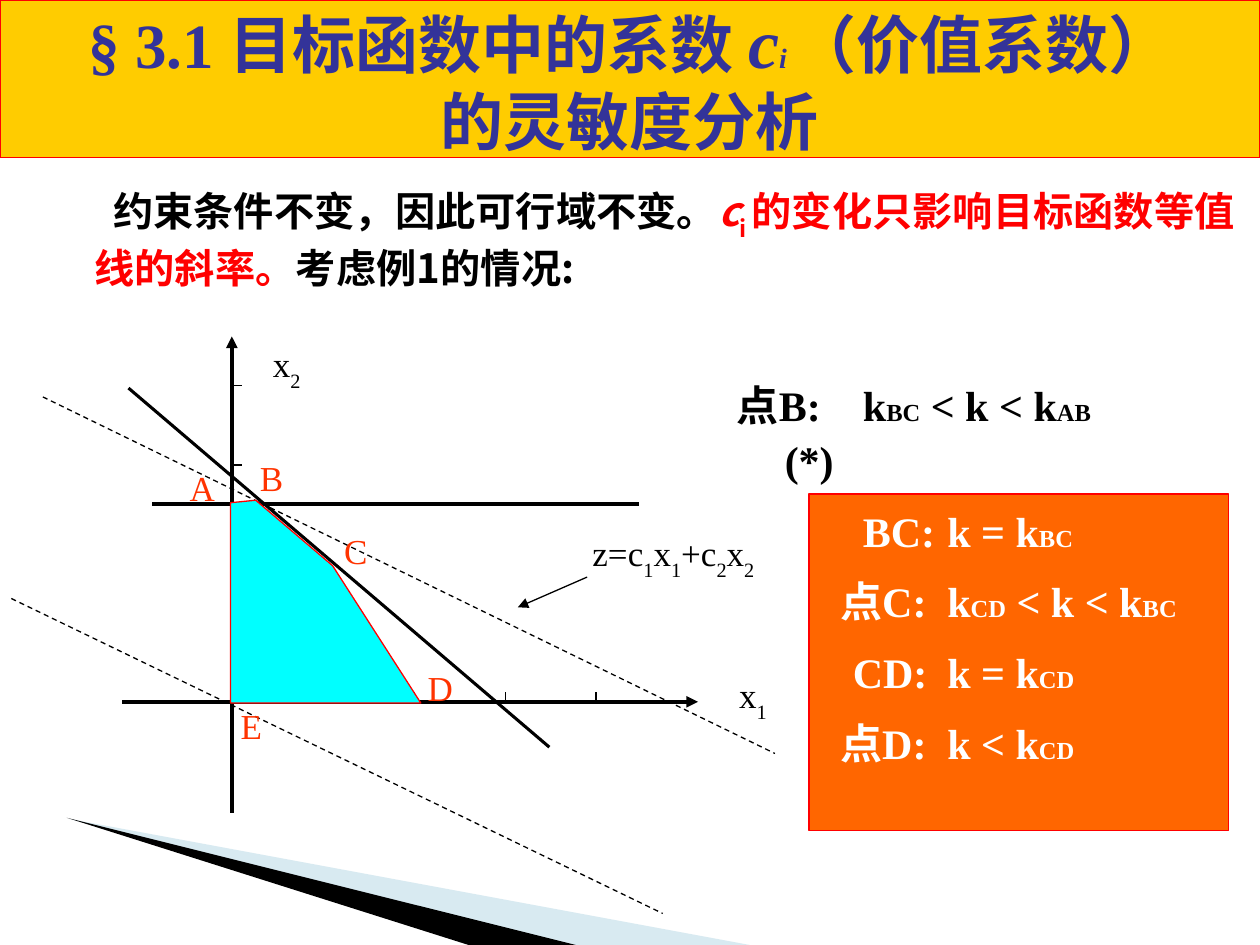
"""Build a slide on the sensitivity analysis of objective coefficients."""
from dataclasses import dataclass

from lxml import etree
from pptx import Presentation
from pptx.dml.color import RGBColor
from pptx.enum.dml import MSO_LINE
from pptx.enum.shapes import MSO_CONNECTOR, MSO_SHAPE
from pptx.enum.text import MSO_ANCHOR, PP_ALIGN
from pptx.oxml.ns import qn
from pptx.util import Inches, Pt

RECTANGLE = MSO_SHAPE.RECTANGLE
STRAIGHT = MSO_CONNECTOR.STRAIGHT
DASH = MSO_LINE.DASH
TOP, MIDDLE = MSO_ANCHOR.TOP, MSO_ANCHOR.MIDDLE
LEFT, CENTER = PP_ALIGN.LEFT, PP_ALIGN.CENTER
Point = tuple[float, float]


@dataclass(frozen=True)
class Theme:
    latin: str = "Times New Roman"
    chinese: str = "Noto Sans CJK SC"
    black: str = "000000"
    white: str = "FFFFFF"
    red: str = "FF0000"
    vertex: str = "FF3300"
    title: str = "333399"
    banner: str = "FFCC00"
    panel: str = "FF6600"
    region: str = "00FFFF"
    wedge: str = "9FCBDC"
    title_size: float = 36
    symbol_size: float = 40
    index_size: float = 16
    body_size: float = 23
    slope_size: float = 24
    slope_index_size: float = 14
    label_size: float = 20


THEME = Theme()


@dataclass(frozen=True)
class Segment:
    start: Point
    end: Point
    width: float = 0.75
    dashed: bool = False
    arrow: bool = False


@dataclass(frozen=True)
class Label:
    terms: tuple[str, ...]
    left: float
    top: float
    width: float = 0.63
    height: float = 0.44
    color: str = THEME.vertex


@dataclass(frozen=True)
class Condition:
    terms: tuple[str, ...]
    indent: float
    tab: float | None = None


ORIGIN: Point = (1.84, 5.57)
TICK = 0.08

AXES_AND_CONSTRAINTS = [
    Segment((1.84, 6.45), (1.84, 2.67), 2.25, arrow=True),
    Segment((0.97, 5.57), (5.54, 5.57), 2.25, arrow=True),
    Segment((1.02, 3.08), (4.36, 5.93), 1.75),
    Segment((1.21, 4), (5.07, 4), 1.75),
    Segment((4.66, 4.58), (4.11, 4.82), arrow=True),
]
TICKS = [
    Segment((ORIGIN[0], 3.06 + 0.63 * i), (ORIGIN[0] + TICK, 3.06 + 0.63 * i))
    for i in range(4)
] + [
    Segment((2.57 + 0.72 * i, ORIGIN[1]), (2.57 + 0.72 * i, ORIGIN[1] - TICK))
    for i in range(4)
]
UPPER_CONTOUR = Segment((0.34, 3.15), (6.15, 5.98), dashed=True)
LOWER_CONTOUR = Segment((0.09, 4.75), (5.26, 7.25), dashed=True)
FEASIBLE_REGION = [(1.83, 3.99), (2.03, 3.97), (2.64, 4.49), (3.34, 5.58), (1.83, 5.58)]
LABELS = [
    Label(("z=c", "1", "x", "1", "+c", "2", "x", "2"), 4.51, 4.17, 1.67, 0.5, THEME.black),
    Label(("x", "2"), 2, 2.67, 0.55, 0.5, THEME.black),
    Label(("x", "1"), 5.7, 5.3, 0.55, 0.5, THEME.black),
    Label(("A",), 1.29, 3.65),
    Label(("B",), 1.84, 3.57),
    Label(("C",), 2.51, 4.15),
    Label(("D",), 3.18, 5.24),
    Label(("E",), 1.68, 5.54),
]
POINT_B = [
    Condition(("点B:\tk", "BC", " < k < k", "AB"), 0, 1),
    Condition(("(*)",), 0.38),
]
OTHER_CONDITIONS = [
    Condition(("BC:\tk = k", "BC"), 0.33, 1.15),
    Condition(("点C:\tk", "CD", " < k < k", "BC"), 0.15, 1.16),
    Condition(("CD:\tk = k", "CD"), 0.25, 1.09),
    Condition(("点D:\tk < k", "CD"), 0.15, 1.25),
]


def add_text(paragraph, text: str, *, size: float, color: str, bold=False,
             italic=False, baseline=0, font=THEME.latin) -> None:
    run = paragraph.add_run()
    run.text = text
    run.font.name = font
    run.font.size = Pt(size)
    run.font.bold, run.font.italic = bold, italic
    run.font.color.rgb = RGBColor.from_string(color)
    properties = run._r.get_or_add_rPr()
    etree.SubElement(properties, qn("a:ea")).set("typeface", THEME.chinese)
    if baseline:
        properties.set("baseline", str(baseline * 1000))


def prepare_frame(shape, anchor=TOP):
    frame = shape.text_frame
    frame.word_wrap = True
    frame.vertical_anchor = anchor
    return frame


def add_box(slide, left: float, top: float, width: float, height: float):
    return slide.shapes.add_textbox(Inches(left), Inches(top), Inches(width), Inches(height))


def add_panel(slide, left: float, top: float, width: float, height: float,
              fill: str, line_width: float):
    panel = slide.shapes.add_shape(
        RECTANGLE, Inches(left), Inches(top), Inches(width), Inches(height))
    panel.shadow.inherit = False
    panel.fill.solid()
    panel.fill.fore_color.rgb = RGBColor.from_string(fill)
    panel.line.color.rgb = RGBColor.from_string(THEME.red)
    panel.line.width = Pt(line_width)
    return panel


def add_polygon(slide, points: list[Point], fill: str, line: str | None = None,
                opacity: int = 100) -> None:
    corners = [(Inches(x), Inches(y)) for x, y in points]
    builder = slide.shapes.build_freeform(*corners[0])
    builder.add_line_segments(corners[1:], close=True)
    polygon = builder.convert_to_shape()
    polygon.shadow.inherit = False
    polygon.fill.solid()
    polygon.fill.fore_color.rgb = RGBColor.from_string(fill)
    if opacity < 100:
        color = polygon._element.spPr.find(f"{qn('a:solidFill')}/{qn('a:srgbClr')}")
        etree.SubElement(color, qn("a:alpha")).set("val", str(opacity * 1000))
    if line:
        polygon.line.color.rgb = RGBColor.from_string(line)
        polygon.line.width = Pt(0.75)
    else:
        polygon.line.fill.background()


def add_segment(slide, segment: Segment) -> None:
    ends = [Inches(value) for value in (*segment.start, *segment.end)]
    connector = slide.shapes.add_connector(STRAIGHT, *ends)
    connector.line.color.rgb = RGBColor.from_string(THEME.black)
    connector.line.width = Pt(segment.width)
    if segment.dashed:
        connector.line.dash_style = DASH
    properties = connector._element.spPr
    if segment.arrow:
        etree.SubElement(properties.find(qn("a:ln")), qn("a:tailEnd")).set("type", "triangle")
    etree.SubElement(properties, qn("a:effectLst"))


def add_label(slide, label: Label) -> None:
    box = add_box(slide, label.left, label.top, label.width, label.height)
    paragraph = prepare_frame(box).paragraphs[0]
    paragraph.alignment = CENTER
    for index, term in enumerate(label.terms):
        add_text(paragraph, term, size=THEME.label_size, color=label.color,
                 baseline=-30 * (index % 2))


def add_conditions(shape, conditions: list[Condition], color: str, gap: float) -> None:
    frame = prepare_frame(shape)
    for row, condition in enumerate(conditions):
        paragraph = frame.add_paragraph() if row else frame.paragraphs[0]
        properties = paragraph._p.get_or_add_pPr()
        properties.set("marL", "0")
        properties.set("indent", str(Inches(condition.indent)))
        if condition.tab:
            stops = etree.SubElement(properties, qn("a:tabLst"))
            etree.SubElement(stops, qn("a:tab"), pos=str(Inches(condition.tab)), algn="l")
        paragraph.alignment = LEFT
        paragraph.line_spacing = 1.1
        if row:
            paragraph.space_before = Pt(gap)
        for index, term in enumerate(condition.terms):
            size = THEME.slope_index_size if index % 2 else THEME.slope_size
            add_text(paragraph, term, size=size, color=color, bold=True)


def add_title(slide) -> None:
    frame = prepare_frame(add_panel(slide, 0, 0, 10, 1.25, THEME.banner, 1), MIDDLE)
    style = {"color": THEME.title, "bold": True}
    first, second = frame.paragraphs[0], frame.add_paragraph()
    first.alignment = second.alignment = CENTER
    add_text(first, "§ 3.1 目标函数中的系数 ", size=THEME.title_size, **style)
    add_text(first, "c", size=THEME.symbol_size, italic=True, **style)
    add_text(first, "i ", size=THEME.index_size, italic=True, **style)
    add_text(first, "（价值系数）", size=THEME.title_size, **style)
    add_text(second, "的灵敏度分析", size=THEME.title_size, **style)


def add_body(slide) -> None:
    paragraph = prepare_frame(add_box(slide, 0.25, 1.42, 9.75, 1.5)).paragraphs[0]
    properties = paragraph._p.get_or_add_pPr()
    properties.set("marL", str(Inches(0.4)))
    properties.set("indent", str(Inches(0.15)))
    paragraph.line_spacing = 1.03
    style = {"size": THEME.body_size, "bold": True, "font": THEME.chinese}
    add_text(paragraph, "约束条件不变，因此可行域不变。", color=THEME.black, **style)
    add_text(paragraph, "c", color=THEME.red, italic=True, **style)
    add_text(paragraph, "i ", color=THEME.red, baseline=-25, **style)
    add_text(paragraph, "的变化只影响目标函数等值线的斜率。", color=THEME.red, **style)
    add_text(paragraph, "考虑例1的情况:", color=THEME.black, **style)


def main() -> None:
    deck = Presentation()
    deck.slide_width, deck.slide_height = Inches(10), Inches(7.5)
    slide = deck.slides.add_slide(deck.slide_layouts[6])
    add_polygon(slide, [(0.55, 6.5), (5.95, 7.5), (4.56, 7.5)], THEME.wedge, opacity=40)
    add_polygon(slide, [(0.53, 6.49), (4.57, 7.5), (3.72, 7.5)], THEME.black)
    add_body(slide)
    add_title(slide)
    add_conditions(add_box(slide, 5.75, 2.92, 4.08, 0.98), POINT_B, THEME.black, 0)
    for segment in (*AXES_AND_CONSTRAINTS, *TICKS, UPPER_CONTOUR):
        add_segment(slide, segment)
    add_polygon(slide, FEASIBLE_REGION, THEME.region, THEME.red)
    add_segment(slide, LOWER_CONTOUR)
    for label in LABELS:
        add_label(slide, label)
    panel = add_panel(slide, 6.42, 3.92, 3.33, 2.67, THEME.panel, 0.75)
    add_conditions(panel, OTHER_CONDITIONS, THEME.white, 8.8)
    deck.save("out.pptx")


if __name__ == "__main__":
    main()
